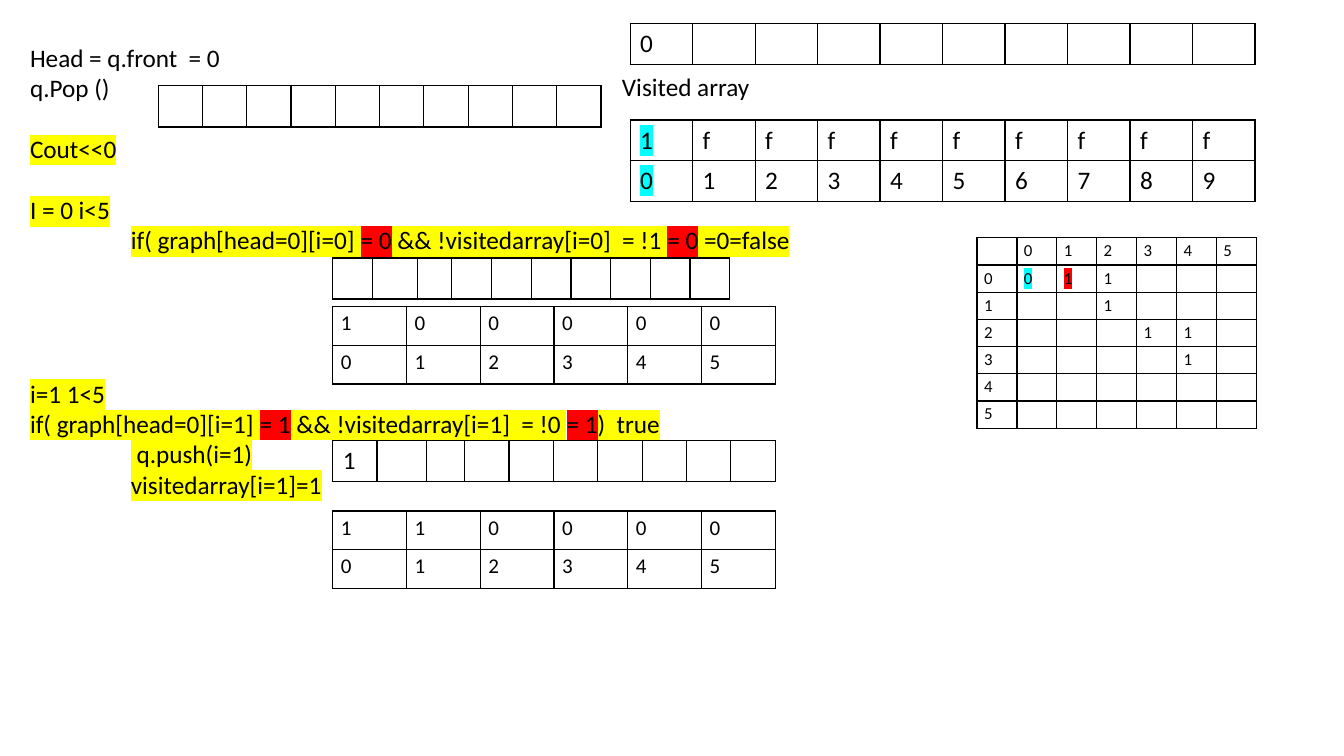
from dataclasses import dataclass, field

from pptx import Presentation
from pptx import util as u
from pptx.dml.color import RGBColor
from pptx.enum import text
from pptx.oxml.xmlchemy import OxmlElement

PX = 9144  # 100 px to the inch


@dataclass(frozen=True)
class Theme:
    font: str = "Calibri"
    ink: str = "000000"
    yellow: str = "FFFF00"
    red: str = "FF0000"
    cyan: str = "00FFFF"
    body: int = 18
    state: int = 15
    matrix: int = 12
    line: int = 22  # height of one body line, in points


T = Theme()


@dataclass(frozen=True)
class Grid:
    left: int
    top: int
    width: int
    height: int
    rows: list[str]  # one character a cell, a space for an empty one
    weights: list[int]
    size: int = T.body
    inset: tuple[int, int] = (10, 5)
    marks: dict[tuple[int, int], str] = field(default_factory=dict)


@dataclass(frozen=True)
class Line:
    runs: list[tuple[str, str | None]]
    indent: int = 0
    blank_before: int = 0


def px(n: float) -> int:
    return round(n * PX)


def add_run(p, words: str, size: int, mark: str | None = None) -> None:
    r = p.add_run()
    r.text = words
    r.font.size = u.Pt(size)
    r.font.color.rgb = RGBColor.from_string(T.ink)
    r.font.name = T.font
    if mark:
        highlight = OxmlElement("a:highlight")
        clr = OxmlElement("a:srgbClr")
        clr.set("val", mark)
        highlight.append(clr)
        r.font.fill._xPr.find("{*}latin").addprevious(highlight)


def add_borders(cell) -> None:
    tcPr = cell._tc.get_or_add_tcPr()
    for i, side in enumerate("LRTB"):
        ln = OxmlElement(f"a:ln{side}")
        ln.set("w", str(u.Pt(1)))
        fill = OxmlElement("a:solidFill")
        clr = OxmlElement("a:srgbClr")
        clr.set("val", T.ink)
        fill.append(clr)
        ln.append(fill)
        tcPr.insert(i, ln)


def add_grid(s, g: Grid) -> None:
    frame = s.shapes.add_table(len(g.rows), len(g.weights),
                               px(g.left), px(g.top), px(g.width), px(g.height))
    table = frame.table
    table.first_row = table.horz_banding = False
    for column, weight in zip(table.columns, g.weights):
        column.width = px(g.width * weight / sum(g.weights))
    for row in table.rows:
        row.height = px(g.height / len(g.rows))
    dx, dy = map(px, g.inset)
    margins = {"margin_left": dx, "margin_right": dx, "margin_top": dy, "margin_bottom": dy}
    for y, values in enumerate(g.rows):
        for x, value in enumerate(values):
            cell = table.cell(y, x)
            for name, setting in margins.items():
                setattr(cell, name, setting)
            cell.fill.background()
            add_borders(cell)
            p = cell.text_frame.paragraphs[0]
            if value != " ":
                add_run(p, value, g.size, g.marks.get((y, x)))
            else:
                end = OxmlElement("a:endParaRPr")
                end.set("sz", str(g.size * 100))
                p._p.append(end)


def add_lines(s, left: int, top: int, width: int, height: int,
              lines: list[Line], wrap: bool = True) -> None:
    tf = s.shapes.add_textbox(px(left), px(top), px(width), px(height)).text_frame
    for name, setting in {"word_wrap": wrap, "auto_size": text.MSO_AUTO_SIZE.NONE}.items():
        setattr(tf, name, setting)
    for i, line in enumerate(lines):
        p = tf.add_paragraph() if i else tf.paragraphs[0]
        if line.blank_before:
            p.space_before = u.Pt(line.blank_before * T.line)
        if line.indent:
            p._p.get_or_add_pPr().set("marL", str(px(line.indent)))
        for words, mark in line.runs:
            add_run(p, words, T.body, mark)


EVEN = [1] * 10
EMPTY = " " * 10
INDEX = "012345"
STATE = {"weights": [1] * 6, "size": T.state, "inset": (8, 4)}

GRIDS = [
    Grid(625, 119, 620, 40, ["1fffffffff"], EVEN, marks={(0, 0): T.cyan}),
    Grid(625, 159, 620, 40, ["0123456789"], EVEN, marks={(0, 0): T.cyan}),
    Grid(625, 23, 620, 41, ["0" + EMPTY[1:]], EVEN),
    Grid(157, 85, 439, 41, [EMPTY], EVEN),
    Grid(969, 236, 277, 189,
         [" 012345", "0011   ", "1  1   ", "2   11 ", "3    1 ", "4      ", "5      "],
         [1] * 7, T.matrix, (7, 3), {(1, 1): T.cyan, (1, 2): T.red}),
    Grid(330, 256, 394, 40, [EMPTY], [39, 44, 34] + [39] * 7),
    Grid(330, 437, 439, 41, ["1" + EMPTY[1:]], [44, 49, 38] + [44] * 7),
    Grid(330, 507, 439, 77, ["110000", INDEX], **STATE),
    Grid(330, 304, 439, 77, ["100000", INDEX], **STATE),
]

TRACE = [
    Line([("Head = q.front  = 0", None)]),
    Line([("q.Pop ()", None)]),
    Line([("Cout<<0", T.yellow)], blank_before=1),
    Line([("I = 0 i<5", T.yellow)], blank_before=1),
    Line([("if( graph[head=0][i=0] ", T.yellow), ("= 0", T.red),
          (" && !visitedarray[i=0]  = !1 ", T.yellow), ("= 0", T.red),
          (" =0=false", T.yellow)], indent=100),
    Line([("i=1 1<5", T.yellow)], blank_before=4),
    Line([("if( graph[head=0][i=1] ", T.yellow), ("= 1", T.red),
          (" && !visitedarray[i=1]  = !0 ", T.yellow), ("= 1", T.red),
          (")  true", T.yellow)]),
    Line([(" q.push(i=1)", T.yellow)], indent=100),
    Line([("visitedarray[i=1]=1", T.yellow)], indent=100),
]


def main() -> None:
    prs = Presentation()
    prs.slide_width, prs.slide_height = px(1333), px(750)
    s = prs.slides.add_slide(prs.slide_layouts[6])
    add_lines(s, 607, 66, 148, 40, [Line([("Visited array", None)])], wrap=False)
    add_lines(s, 20, 37, 826, 677, TRACE)
    for grid in GRIDS:
        add_grid(s, grid)
    prs.save("out.pptx")


if __name__ == "__main__":
    main()
